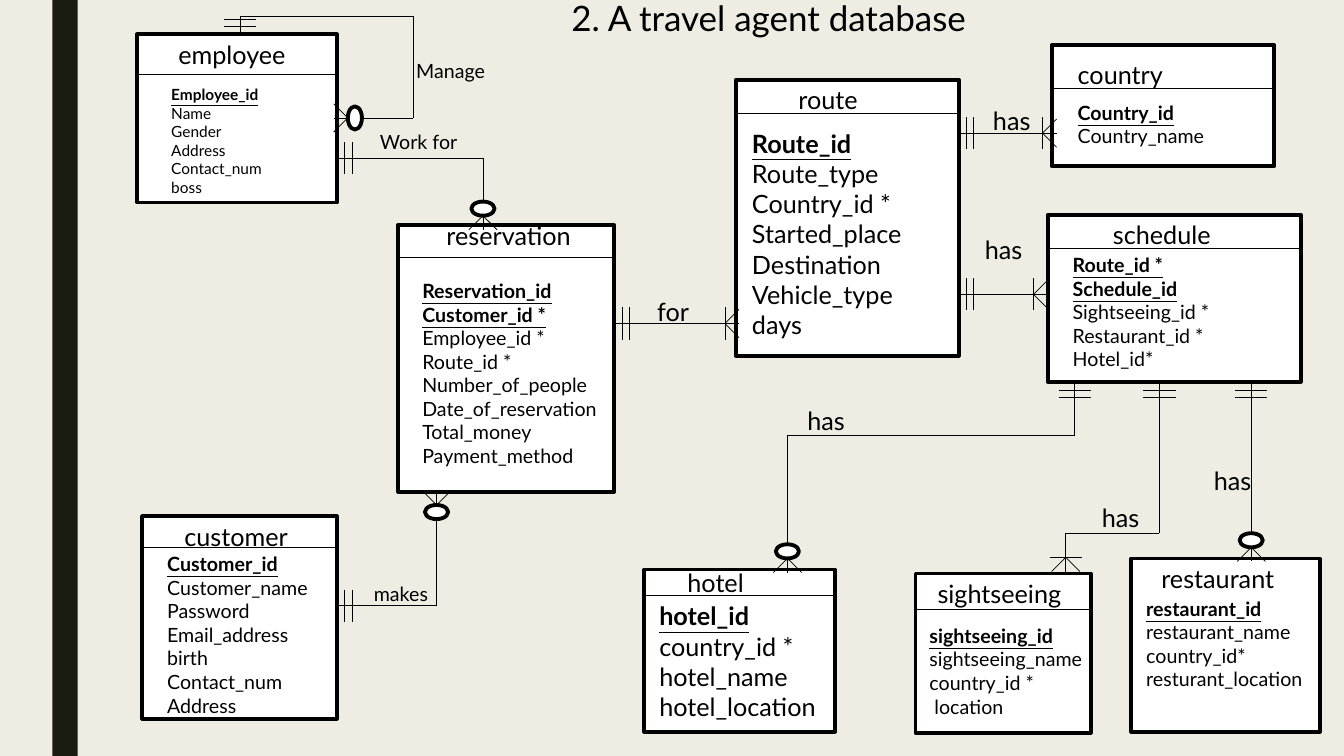
from collections import namedtuple

from lxml.etree import SubElement
from pptx import Presentation
from pptx.dml.color import RGBColor
from pptx.enum.shapes import MSO_CONNECTOR, MSO_SHAPE
from pptx.oxml.ns import qn
from pptx.util import Inches, Pt

COLORS = {"background": "EFEDE3", "stripe": "191B0E", "ink": "000000", "paper": "FFFFFF"}
KEY_FORMAT = {"bold": True, "underline": True}
SMALL, MEDIUM, LARGE = 11, 14, 18
BAR_GAPS = (0.08, 0.15)
BAR_REACH = 0.16
TOE_REACH = 0.14
OVAL_DEPTH, OVAL_BREADTH = 0.14, 0.23

Entity = namedtuple("Entity", "name box name_inset rule_drop field_inset field_drop size keys columns")
Relationship = namedtuple("Relationship", "label label_at size start axis moves ending")

ENTITIES = [
    Entity("employee", (1.36, 0.34, 1.98, 1.67), 0.31, 0.4, 0.24, 0.46, SMALL,
           ["Employee_id"], ["Name", "Gender", "Address", "Contact_num", "boss"]),
    Entity("customer", (1.41, 5.12, 1.93, 2.01), 0.32, 0.31, 0.15, 0.31, MEDIUM,
           ["Customer_id"],
           ["Customer_name", "Password", "Email_address", "birth", "Contact_num", "Address"]),
    Entity("reservation", (3.95, 2.23, 2.14, 2.65), 0.38, 0.32, 0.14, 0.49, MEDIUM,
           ["Reservation_id", "Customer_id *"],
           ["Employee_id *", "Route_id *", "Number_of_people", "Date_of_reservation",
            "Total_money", "Payment_method"]),
    Entity("route", (7.3, 0.79, 2.21, 2.74), 0.52, 0.33, 0.06, 0.43, LARGE,
           ["Route_id"],
           ["Route_type", "Country_id *", "Started_place", "Destination", "Vehicle_type", "days"]),
    Entity("country", (10.43, 0.45, 2.21, 1.2), 0.16, 0.43, 0.16, 0.5, MEDIUM,
           ["Country_id"], ["Country_name"]),
    Entity("schedule", (10.39, 2.13, 2.51, 1.66), 0.55, 0.33, 0.15, 0.33, MEDIUM,
           ["Route_id *", "Schedule_id"], ["Sightseeing_id *", "Restaurant_id *", "Hotel_id*"]),
    Entity("hotel", (6.39, 5.65, 1.89, 1.61), 0.33, 0.26, 0.05, 0.26, LARGE,
           ["hotel_id"], ["country_id *", "hotel_name", "hotel_location"]),
    Entity("sightseeing", (9.08, 5.69, 1.74, 1.58), 0.12, 0.36, 0.04, 0.45, MEDIUM,
           ["sightseeing_id"], ["sightseeing_name", "country_id *", " location"]),
    Entity("restaurant", (11.22, 5.54, 1.87, 1.72), 0.2, None, 0.05, 0.33, MEDIUM,
           ["restaurant_id"], ["restaurant_name", "country_id*", "resturant_location"]),
]
NAME_SHIFTS = {"reservation": -0.09, "country": 0.09, "hotel": -0.07}

RELATIONSHIPS = [
    Relationship("Manage", (4.03, 0.54), MEDIUM, (2.38, 0.34), "y",
                 [-0.18, 1.72, 1.01, -0.65], "oval"),
    Relationship("Work for", (3.67, 1.24), MEDIUM, (3.34, 1.57), "x", [1.45, 0.57], "oval"),
    Relationship("makes", (3.61, 5.72), MEDIUM, (3.34, 6.01), "x", [0.99, -1], "oval"),
    Relationship("for", (6.42, 2.89), LARGE, (6.09, 3.21), "x", [1.1], "bar"),
    Relationship("has", (9.75, 1), LARGE, (9.5, 1.32), "x", [0.84], "bar"),
    Relationship("has", (9.67, 2.28), LARGE, (9.5, 2.92), "x", [0.75], "bar"),
    Relationship("has", (7.91, 3.97), LARGE, (10.66, 3.79), "y", [0.53, -2.85, 1.75 - 0.53 + 0.53 - 0.53], "oval"),
    Relationship("has", (10.83, 4.93), LARGE, (11.5, 3.79), "y", [1.5, -0.93, 0.24], "bar"),
    Relationship("has", (11.94, 4.57), LARGE, (12.41, 3.79), "y", [1.64], "oval"),
]


def color(name):
    return RGBColor.from_string(COLORS[name])


def add_filled_shape(slide, kind, bounds, fill="paper", outlined=True):
    shape = slide.shapes.add_shape(kind, *map(Inches, bounds))
    shape.shadow.inherit = False
    shape.fill.solid()
    shape.fill.fore_color.rgb = color(fill)
    if outlined:
        shape.line.color.rgb = color("ink")
        shape.line.width = Pt(2.75)
    else:
        shape.line.fill.background()


def add_line(slide, start, end):
    connector = slide.shapes.add_connector(MSO_CONNECTOR.STRAIGHT, *map(Inches, start + end))
    connector.line.color.rgb = color("ink")
    connector.line.width = Pt(0.5)
    SubElement(connector._element.spPr, qn("a:effectLst"))


def add_text(slide, bounds, size, lines, key_count=0):
    frame = slide.shapes.add_textbox(*map(Inches, bounds)).text_frame
    frame.word_wrap = True
    for index, line in enumerate(lines):
        paragraph = frame.paragraphs[0] if index == 0 else frame.add_paragraph()
        run = paragraph.add_run()
        run.text = line
        run.font.color.rgb = color("ink")
        font_format = {"name": "Lato", "size": Pt(size)}
        if index < key_count:
            font_format |= KEY_FORMAT
        for attribute, value in font_format.items():
            setattr(run.font, attribute, value)


def add_entity(slide, entity):
    left, top, width, height = entity.box
    add_filled_shape(slide, MSO_SHAPE.RECTANGLE, entity.box)
    name_top = top + NAME_SHIFTS.get(entity.name, 0)
    add_text(slide, (left + entity.name_inset, name_top, width - entity.name_inset, 0.4),
             LARGE, [entity.name])
    fields = (left + entity.field_inset, top + entity.field_drop, width, height - entity.field_drop)
    add_text(slide, fields, entity.size, entity.keys + entity.columns, len(entity.keys))
    if entity.rule_drop:
        rule_top = top + entity.rule_drop
        add_line(slide, (left, rule_top), (left + width, rule_top))


def shift(point, axis, along, across=0):
    x, y = point
    return (x + along, y + across) if axis == "x" else (x + across, y + along)


def add_bar(slide, center, axis):
    add_line(slide, shift(center, axis, 0, -BAR_REACH), shift(center, axis, 0, BAR_REACH))


def add_oval(slide, apex, axis, sign):
    x, y = shift(apex, axis, -sign * OVAL_DEPTH / 2)
    width, height = (OVAL_DEPTH, OVAL_BREADTH) if axis == "x" else (OVAL_BREADTH, OVAL_DEPTH)
    add_filled_shape(slide, MSO_SHAPE.OVAL, (x - width / 2, y - height / 2, width, height))


def add_relationship(slide, relationship):
    point, axis = relationship.start, relationship.axis
    first_sign = 1 if relationship.moves[0] > 0 else -1
    for gap in BAR_GAPS:
        add_bar(slide, shift(point, axis, first_sign * gap), axis)
    for index, move in enumerate(relationship.moves):
        if index:
            axis = "y" if axis == "x" else "x"
        corner = shift(point, axis, move)
        add_line(slide, point, corner)
        point = corner
    sign = 1 if move > 0 else -1
    for across in (-TOE_REACH, 0, TOE_REACH):
        add_line(slide, point, shift(point, axis, sign * TOE_REACH, across))
    if relationship.ending == "oval":
        add_oval(slide, point, axis, sign)
    else:
        add_bar(slide, point, axis)
    label = relationship.label
    label_size = (0.3 + 0.14 * len(label), 0.4)
    add_text(slide, relationship.label_at + label_size, relationship.size, [label])


def main():
    presentation = Presentation()
    presentation.slide_width = Inches(13.33)
    presentation.slide_height = Inches(7.5)
    slide = presentation.slides.add_slide(presentation.slide_layouts[6])
    slide.background.fill.solid()
    slide.background.fill.fore_color.rgb = color("background")
    add_filled_shape(slide, MSO_SHAPE.RECTANGLE, (0.52, 0, 0.25, 7.5), "stripe", False)
    for entity in ENTITIES:
        add_entity(slide, entity)
    for relationship in RELATIONSHIPS:
        add_relationship(slide, relationship)
    add_text(slide, (5.57, -0.08, 4.63, 0.52), 25, ["2. A travel agent database"])
    presentation.save("out.pptx")


if __name__ == "__main__":
    main()
